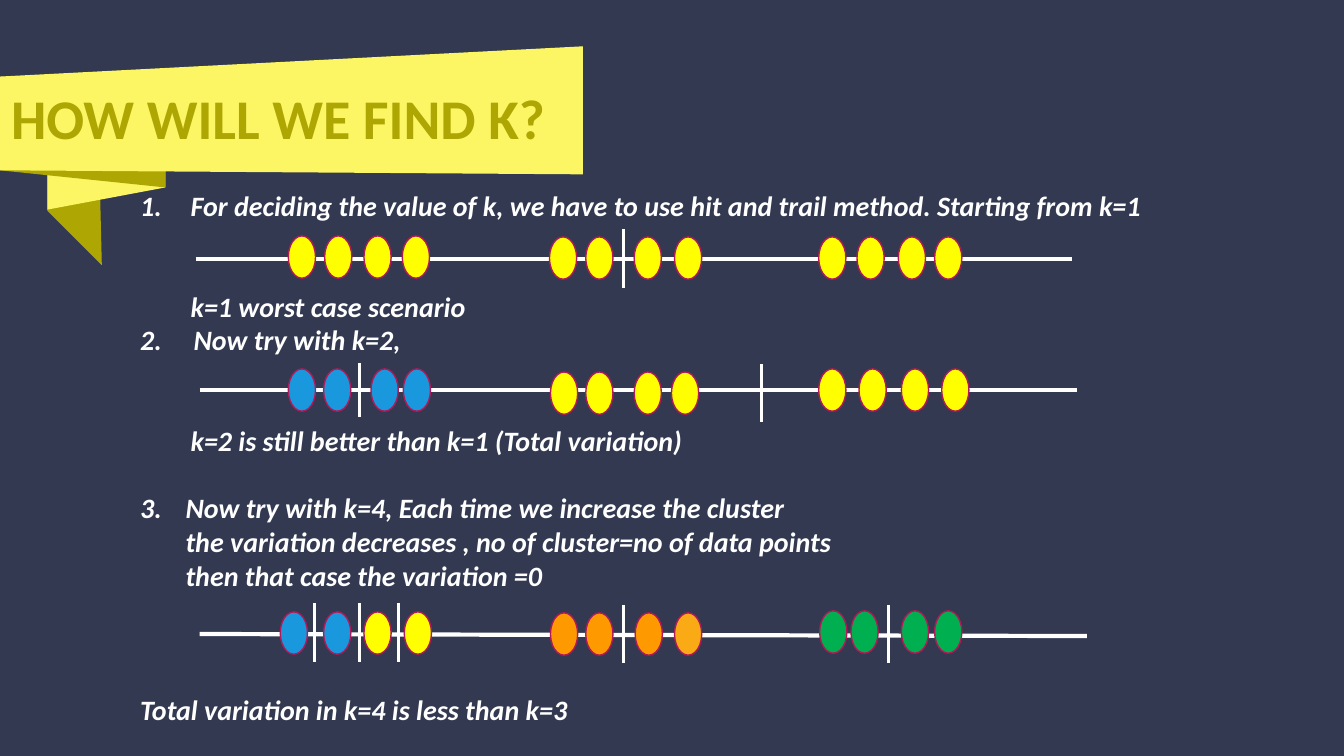
import pptx
import pptx.util
import pptx.dml.color
import pptx.enum.shapes
import pptx.enum.text
import pptx.oxml.ns
import lxml.etree

Inches = pptx.util.Inches
Pt = pptx.util.Pt
FONT = "Calibri"
LINE = 24
INK = {
    "back": "323951", "gold": "FCF664", "olive": "ADA603", "white": "FFFFFF",
    "yellow": "FFFF00", "blue": "1A98DD", "orange": "FF9900", "amber": "FAAA15",
    "green": "00B050", "rim": "B01A58",
}

RIBBON = [
    ("olive", [(0.54, 2.17), (0, 1.63), (0, 0.55), (0.52, 1.34)], 0.47),
    ("gold", [(1.17, 1.4), (0, 1.62), (0, 0.66), (1.17, 0.95)], 0.47),
    ("olive", [(1.64, 1.4), (0, 1.23), (0, 0.3), (1.64, 0.37)], 0),
    ("gold", [(0, 0.3), (5.78, 0), (5.78, 1.27), (0, 1.23)], 0),
]

STEPS = [
    (1, 0.5, 0, ["For deciding the value of k, we have to use hit and trail method. Starting from k=1"]),
    (None, 0.5, 2, ["k=1 worst case scenario"]),
    (2, 0.53, 0, ["Now try with k=2,"]),
    (None, 0.5, 2, ["k=2 is still better than k=1 (Total variation)"]),
    (3, 0.45, 1, ["Now try with k=4, Each time we increase the cluster",
                  "the variation decreases , no of cluster=no of data points",
                  "then that case the variation =0"]),
    (None, 0, 3, ["Total variation in k=4 is less than k=3"]),
]

ROWS = [
    ((1.94, 2.57, 8.69, 0),
     [(-0.23, [0.92, 1.28, 1.67, 2.05], ["yellow"] * 4),
      (-0.22, [3.51, 3.87, 4.35, 4.75], ["yellow"] * 4),
      (-0.22, [6.18, 6.56, 6.97, 7.33], ["yellow"] * 4)],
     [(4.24, -0.3, 0.59)]),
    ((1.98, 3.87, 8.7, 0),
     [(-0.21, [0.88, 1.23, 1.7, 2.02], ["blue"] * 4),
      (-0.18, [3.48, 3.83, 4.31, 4.68], ["yellow"] * 4),
      (-0.21, [6.14, 6.54, 6.96, 7.36], ["yellow"] * 4)],
     [(1.59, -0.27, 0.54), (5.57, -0.26, 0.58)]),
    ((1.98, 6.29, 8.8, 0.02),
     [(-0.22, [0.8, 1.23, 1.63, 2.03], ["blue"] * 2 + ["yellow"] * 2),
      (-0.21, [3.48, 3.83, 4.32, 4.71], ["orange"] * 3 + ["amber"]),
      (-0.23, [6.15, 6.46, 6.96, 7.29], ["green"] * 4)],
     [(x, -0.31, 0.59) for x in (1.14, 1.59, 1.97)]
     + [(x, -0.29, 0.58) for x in (4.2, 6.83)]),
]


def color(name):
    """Return the named colour."""
    return pptx.dml.color.RGBColor.from_string(INK[name])


def place(shape, box):
    """Move a shape to a box given in inches."""
    shape.left, shape.top, shape.width, shape.height = map(Inches, box)


def write(para, text, size, ink, italic=False):
    """Add one bold run to a paragraph."""
    run = para.add_run()
    run.text = text
    font = run.font
    font.name, font.size, font.bold, font.italic = FONT, Pt(size), True, italic
    font.color.rgb = color(ink)


def rule(slide, start, end, width):
    """Draw a white line between two points."""
    line = slide.shapes.add_connector(
        pptx.enum.shapes.MSO_CONNECTOR.STRAIGHT, *map(Inches, start + end))
    line.line.color.rgb = color("white")
    line.line.width = Pt(width)
    props = line.element.find(pptx.oxml.ns.qn("p:spPr"))
    lxml.etree.SubElement(props, pptx.oxml.ns.qn("a:effectLst"))


def ribbon(slide, top):
    """Draw the folded ribbon behind the title."""
    title = slide.shapes.title
    for ink, points, left in RIBBON:
        spots = [(Inches(left + x), Inches(top + y)) for x, y in points]
        form = slide.shapes.build_freeform(*spots[0], scale=1.0)
        form.add_line_segments(spots[1:], close=True)
        fold = form.convert_to_shape()
        fold.shadow.inherit = False
        fold.fill.solid()
        fold.fill.fore_color.rgb = color(ink)
        fold.line.fill.background()
        title.element.addprevious(fold.element)


def heading(slide, box):
    """Fill the title placeholder."""
    title = slide.shapes.title
    place(title, box)
    frame = title.text_frame
    frame.auto_size = pptx.enum.text.MSO_AUTO_SIZE.NONE
    frame.vertical_anchor = pptx.enum.text.MSO_ANCHOR.MIDDLE
    frame.margin_left = Inches(0.11)
    para = frame.paragraphs[0]
    para.alignment = pptx.enum.text.PP_ALIGN.LEFT
    para.line_spacing = 0.9
    write(para, "HOW WILL WE FIND K?", 40, "olive")


def mark(para, number, indent):
    """Set the indent and number of a step."""
    qn = pptx.oxml.ns.qn
    props = para._p.get_or_add_pPr()
    props.set("marL", str(Inches(indent)))
    props.set("indent", str(-Inches(indent) if number else 0))
    if number:
        lxml.etree.SubElement(props, qn("a:buFont"), typeface=FONT)
        lxml.etree.SubElement(props, qn("a:buAutoNum"),
                              type="arabicPeriod", startAt=str(number))
    else:
        lxml.etree.SubElement(props, qn("a:buNone"))


def steps(slide, box):
    """Fill the body placeholder with the steps."""
    body = slide.placeholders[1]
    place(body, box)
    frame = body.text_frame
    frame.auto_size = pptx.enum.text.MSO_AUTO_SIZE.NONE
    frame.word_wrap = True
    for i, (number, indent, gap, lines) in enumerate(STEPS):
        para = frame.add_paragraph() if i else frame.paragraphs[0]
        para.line_spacing = Pt(LINE)
        para.space_before = Pt(gap * LINE)
        para.space_after = Pt(0)
        mark(para, number, indent)
        for j, text in enumerate(lines):
            if j:
                para.add_line_break()
            write(para, text, 20, "white", italic=True)


def row(slide, box, groups, cuts):
    """Draw a number line with its data points and cuts."""
    left, top, width, drop = box
    rule(slide, (left, top), (left + width, top + drop), 3)
    for rise, spots, inks in groups:
        for x, ink in zip(spots, inks):
            dot = slide.shapes.add_shape(
                pptx.enum.shapes.MSO_SHAPE.OVAL,
                *map(Inches, (left + x, top + rise, 0.27, 0.42)))
            dot.shadow.inherit = False
            dot.fill.solid()
            dot.fill.fore_color.rgb = color(ink)
            dot.line.color.rgb = color("rim")
            dot.line.width = Pt(1)
    for x, rise, tall in cuts:
        rule(slide, (left + x, top + rise), (left + x, top + rise + tall), 2.25)


def main():
    """Build and save the slide."""
    deck = pptx.Presentation()
    deck.slide_width, deck.slide_height = Inches(13.33), Inches(7.5)
    slide = deck.slides.add_slide(deck.slide_layouts[1])
    slide.background.fill.solid()
    slide.background.fill.fore_color.rgb = color("back")
    ribbon(slide, 0.46)
    heading(slide, (0, 0.61, 7.42, 1.18))
    steps(slide, (1.29, 1.82, 11.46, 5.6))
    for box, groups, cuts in ROWS:
        row(slide, box, groups, cuts)
    deck.save("out.pptx")


if __name__ == "__main__":
    main()
